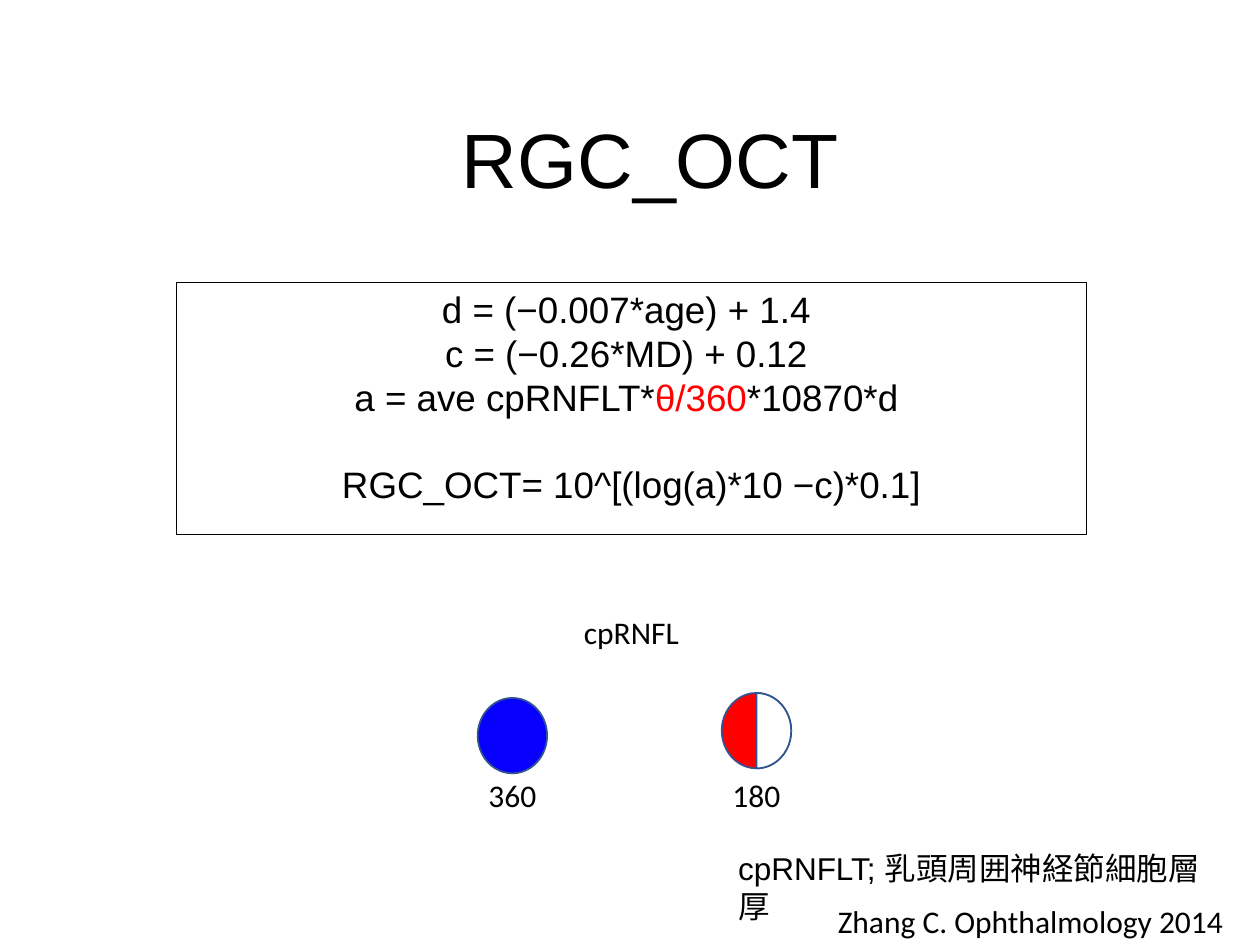
from pptx import Presentation
from pptx import util as u
from pptx.dml.color import RGBColor
from pptx.enum import shapes, text

Cm, Pt = u.Cm, u.Pt
KIND = shapes.MSO_SHAPE
ALIGN = text.PP_ALIGN
EDGE = "325491"


def hue(code):
    """Turn a hex string into a colour."""
    return RGBColor.from_string(code)


def write(para, *runs, size=18, face="Calibri", align=ALIGN.CENTER, lead=None, gap=None):
    """Fill a paragraph with (words, colour) runs."""
    para.alignment = align
    if lead:
        para.line_spacing = lead
    if gap:
        para.space_before = gap
    for words, tint in runs:
        run = para.add_run()
        run.text = words
        run.font.size = Pt(size)
        run.font.name = face
        run.font.color.rgb = hue(tint)


def pad(frame, side, top):
    """Set the inner margins of a text frame."""
    frame.margin_left = frame.margin_right = Cm(side)
    frame.margin_top = frame.margin_bottom = Cm(top)


def label(slide, words, x, y, w, h, wrap=False, side=0.25, top=0.13, **form):
    """Add a text box with one paragraph."""
    frame = slide.shapes.add_textbox(Cm(x), Cm(y), Cm(w), Cm(h)).text_frame
    frame.word_wrap = wrap
    pad(frame, side, top)
    write(frame.paragraphs[0], (words, "000000"), **form)


def shape(slide, kind, x, y, w, h, fill=None, line=EDGE, width=1):
    """Add a preset shape with flat fill and outline."""
    item = slide.shapes.add_shape(kind, Cm(x), Cm(y), Cm(w), Cm(h))
    item.shadow.inherit = False
    if fill:
        item.fill.solid()
        item.fill.fore_color.rgb = hue(fill)
    else:
        item.fill.background()
    item.line.color.rgb = hue(line)
    item.line.width = Pt(width)
    return item


def title(slide, words):
    """Place and format the title."""
    head = slide.shapes.title
    head.left, head.top, head.width, head.height = Cm(2.16), Cm(1.45), Cm(21.9), Cm(3.68)
    frame = head.text_frame
    frame.vertical_anchor = text.MSO_ANCHOR.MIDDLE
    write(frame.paragraphs[0], (words, "000000"), size=44, face="Arial", lead=0.9)


def sums(slide):
    """Add the framed formulas, the result set apart."""
    box = shape(slide, KIND.RECTANGLE, 3.56, 5.69, 18.34, 5.08, line="000000", width=0.75)
    frame = box.text_frame
    frame.word_wrap = True
    frame.vertical_anchor = text.MSO_ANCHOR.TOP
    pad(frame, 0.18, 0.1)
    ink = "000000"
    rows = [
        [("d = (−0.007*age) + 1.4 ", ink)],
        [("c = (−0.26*MD) + 0.12 ", ink)],
        [("a = ave cpRNFLT*", ink), ("θ/360", "FF0000"), ("*10870*d ", ink)],
        [("RGC_OCT= 10^[(log(a)*10 −c)*0.1]", ink)],
    ]
    for i, row in enumerate(rows):
        para = frame.add_paragraph() if i else frame.paragraphs[0]
        gap = Pt(25) if i == len(rows) - 1 else None
        write(para, *row, size=21, face="Arial", lead=Pt(25), gap=gap)


def discs(slide):
    """Add the full and the half disc with their angles."""
    label(slide, "cpRNFL", 11.51, 12.22, 2.44, 1.02)
    wide, high = 1.4, 1.52
    for x, y, fill, words in ((9.63, 14.07, "0700FF", "360"), (14.55, 13.97, "FF0000", "180")):
        shape(slide, KIND.OVAL, x, y, wide, high, fill)
        label(slide, words, x - 0.05, 15.52, 1.5, 1.02)
    half = shape(slide, KIND.PIE, x, y, wide, high, "FFFFFF")
    half.rotation = 180
    half.adjustments[0], half.adjustments[1] = 54, 162


def main():
    """Build the slide and save it."""
    deck = Presentation()
    deck.slide_width, deck.slide_height = Cm(25.4), Cm(19.05)
    slide = deck.slides.add_slide(deck.slide_layouts[5])
    title(slide, "RGC_OCT")
    sums(slide)
    label(slide, "Zhang C. Ophthalmology 2014", 14.53, 18.08, 10.31, 1.96,
          wrap=True, side=0.18, top=0.1, align=ALIGN.RIGHT)
    discs(slide)
    label(slide, "cpRNFLT; 乳頭周囲神経節細胞層厚", 14.63, 16.99, 10.4, 1.02,
          wrap=True, face="Arial", align=ALIGN.LEFT)
    deck.save("out.pptx")


if __name__ == "__main__":
    main()
